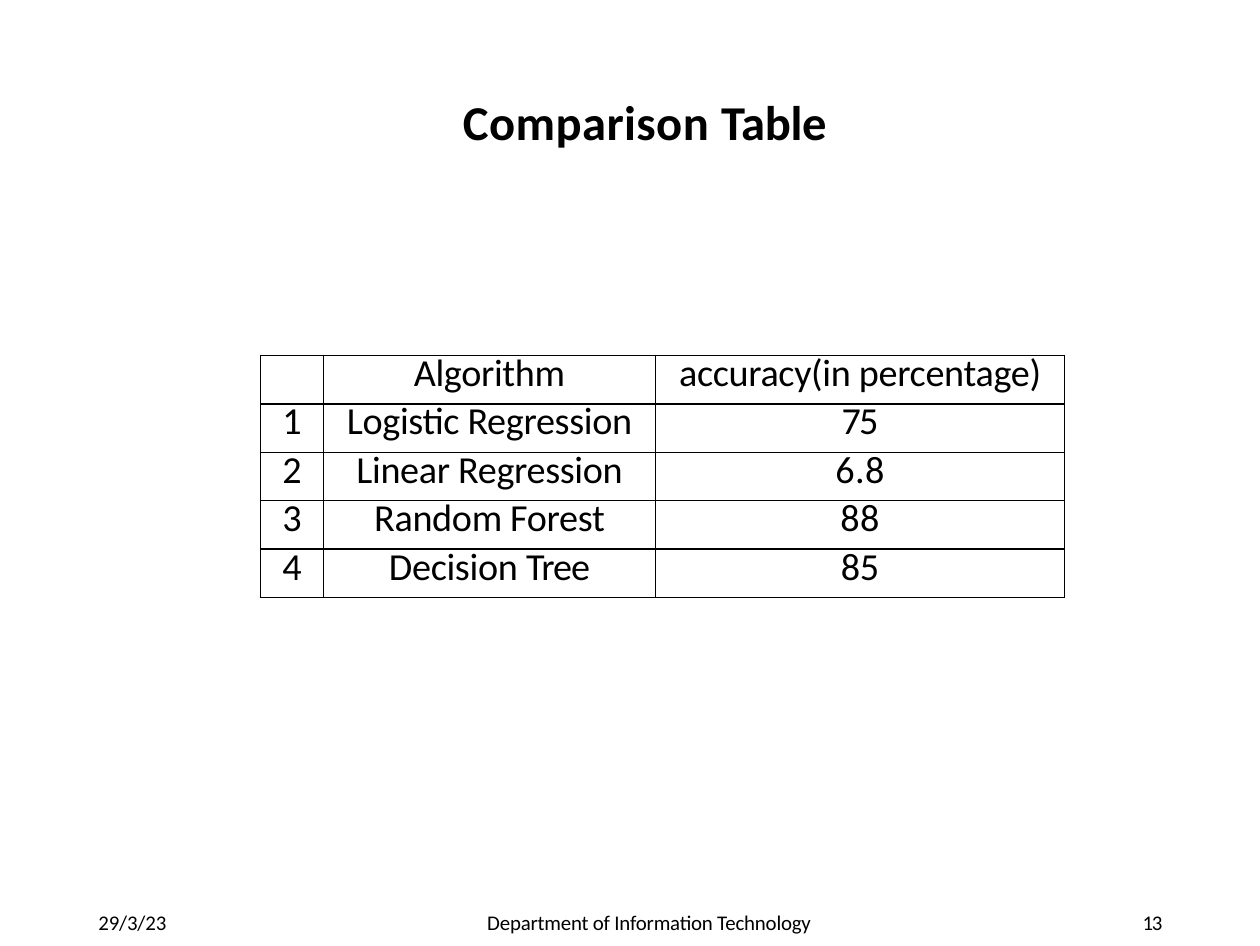
from lxml.etree import SubElement
from pptx import Presentation
from pptx.dml.color import RGBColor
from pptx.enum.text import MSO_AUTO_SIZE, PP_ALIGN
from pptx.oxml.ns import qn
from pptx.util import Pt

BLACK = RGBColor(0, 0, 0)
FONT = "Calibri"


class SlideBuilder:
    """Holds the text style and the current slide."""

    def __init__(self, page):
        self.page = page

    def add_spans(self, para, spans, size, bold=False):
        """Add (text, letter spacing in points) pairs as runs."""
        for text, spacing in spans:
            span = para.add_run()
            span.text = text
            span.font.name = FONT
            span.font.size = Pt(size)
            span.font.bold = bold
            span.font.color.rgb = BLACK
            span._r.get_or_add_rPr().set("spc", str(round(spacing * 100)))

    def add_text(self, left, top, width, height, spans, size,
                 bold=False, inset=0.8, indent=0.9, before=1.1):
        box = self.page.shapes.add_textbox(Pt(left), Pt(top), Pt(width), Pt(height))
        frame = box.text_frame
        frame.word_wrap = True
        frame.auto_size = MSO_AUTO_SIZE.SHAPE_TO_FIT_TEXT
        frame.margin_left = frame.margin_right = frame.margin_bottom = 0
        frame.margin_top = Pt(inset)
        para = frame.paragraphs[0]
        para.space_before = Pt(before)
        para._p.get_or_add_pPr().set("marL", str(Pt(indent)))
        self.add_spans(para, spans, size, bold)

    def add_borders(self, cell, weight):
        properties = cell._tc.get_or_add_tcPr()
        for side in ("lnL", "lnR", "lnT", "lnB"):
            line = SubElement(properties, qn(f"a:{side}"), w=str(Pt(weight)))
            fill = SubElement(line, qn("a:solidFill"))
            SubElement(fill, qn("a:srgbClr"), val=str(BLACK))

    def add_table(self, left, top, widths, row_height, rows, size, leading):
        frame = self.page.shapes.add_table(
            len(rows), len(widths), Pt(left), Pt(top),
            Pt(sum(widths)), Pt(row_height * len(rows)))
        table = frame.table
        table.first_row = table.horz_banding = False
        for column, width in zip(table.columns, widths):
            column.width = Pt(width)
        for table_row, row in zip(table.rows, rows):
            table_row.height = Pt(row_height)
            for cell, spans in zip(table_row.cells, row):
                cell.margin_left = cell.margin_right = 0
                cell.margin_top = cell.margin_bottom = 0
                self.add_borders(cell, 0.5)
                cell.fill.background()
                para = cell.text_frame.paragraphs[0]
                para.alignment = PP_ALIGN.CENTER
                para.line_spacing = Pt(leading)
                self.add_spans(para, spans, size)
                # The end mark sets the line height of an empty cell
                SubElement(para._p, qn("a:endParaRPr"), sz=str(size * 100))


def main():
    deck = Presentation()
    deck.slide_width, deck.slide_height = Pt(363), Pt(272.5)
    builder = SlideBuilder(deck.slides.add_slide(deck.slide_layouts[6]))

    # Title
    builder.add_text(132.5, 25.2, 108, 19.4,
                     [("Comparison ", 0.1), ("Table", -0.1)],
                     14, bold=True, inset=1.4, before=1.4)

    # Accuracy of each algorithm
    results = [
        ([("Logistic Regression", -0.1)], [("75", -0.5)]),
        ([("Linear Regression", -0.1)], [("6.8", 0.1)]),
        ([("Random Forest", -0.1)], [("88", 0.1)]),
        ([("Decision ", -0.1), ("Tree", -0.3)], [("85", -0.1)]),
    ]
    header = ([], [("Algorithm", -0.1)], [("accuracy(in percentage)", -0.1)])
    rows = [header] + [([(str(number), 0)], *result)
                       for number, result in enumerate(results, 1)]
    builder.add_table(75, 102.4, [18.2, 95.7, 117.8], 13.95, rows, 11, 11.9)

    # Footer: date, department, page number
    footer_top, footer_height, footer_size = 261.3, 9.4, 6
    footers = [
        (27.5, 21.6, 0.9, [("29/3/", -0.05), ("2", -0.2), ("3", -0.05)]),
        (139.5, 96.5, 0.9, [("Department of Information Technology", -0.05)]),
        (326.2, 11.5, 3, [("13", -0.4)]),
    ]
    for left, width, indent, spans in footers:
        builder.add_text(left, footer_top, width, footer_height,
                         spans, footer_size, indent=indent)

    deck.save("out.pptx")


if __name__ == "__main__":
    main()
